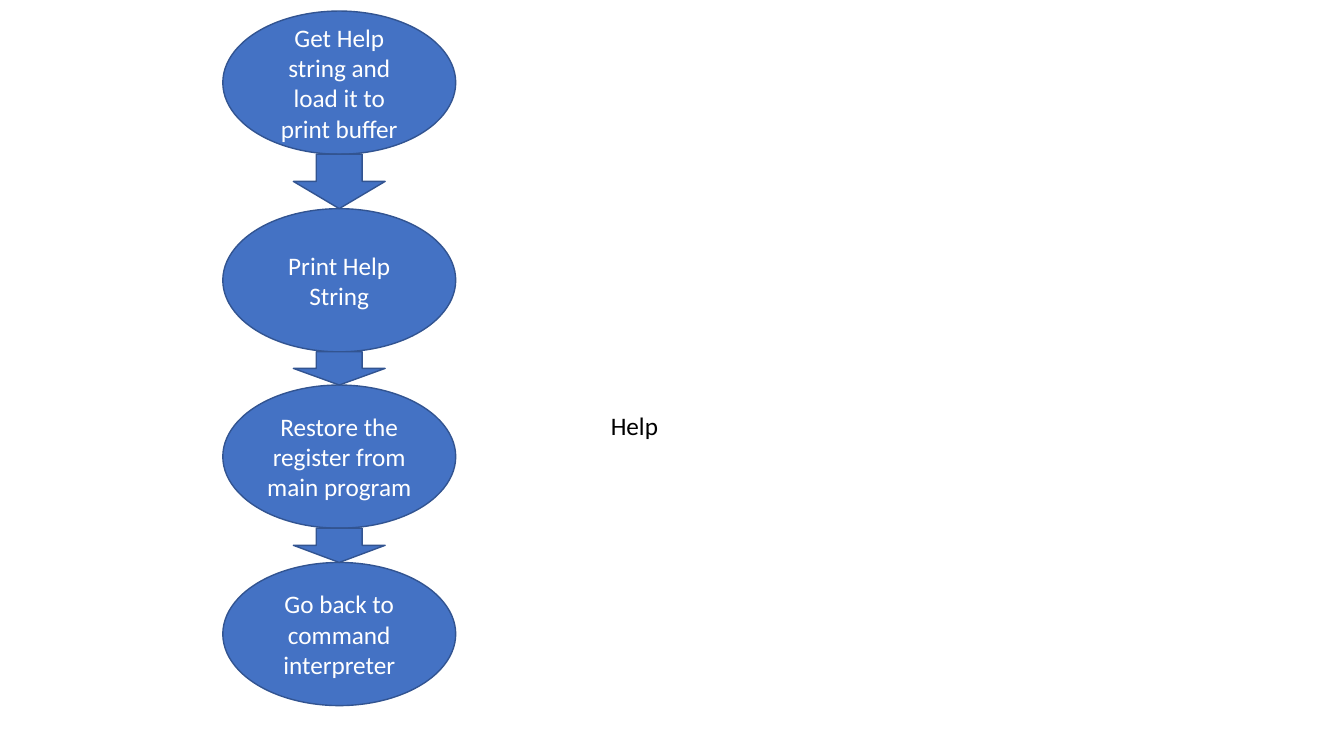
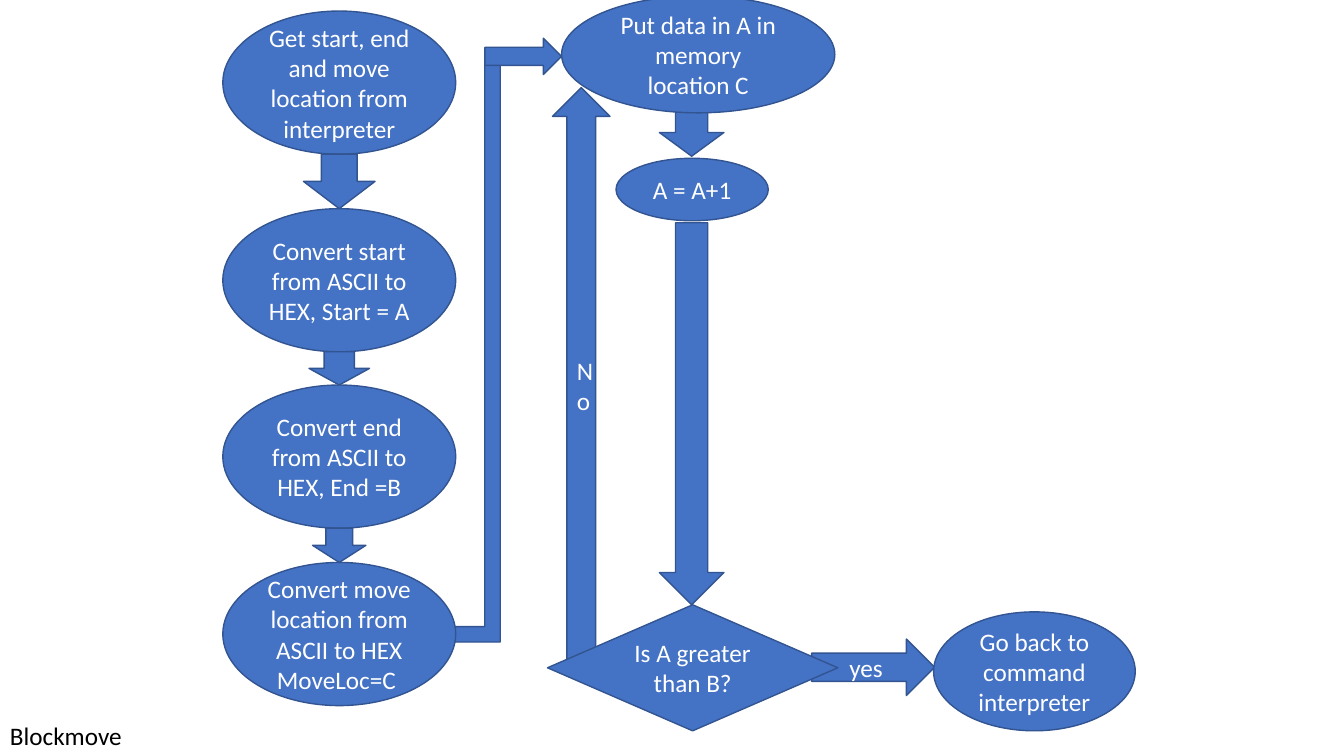
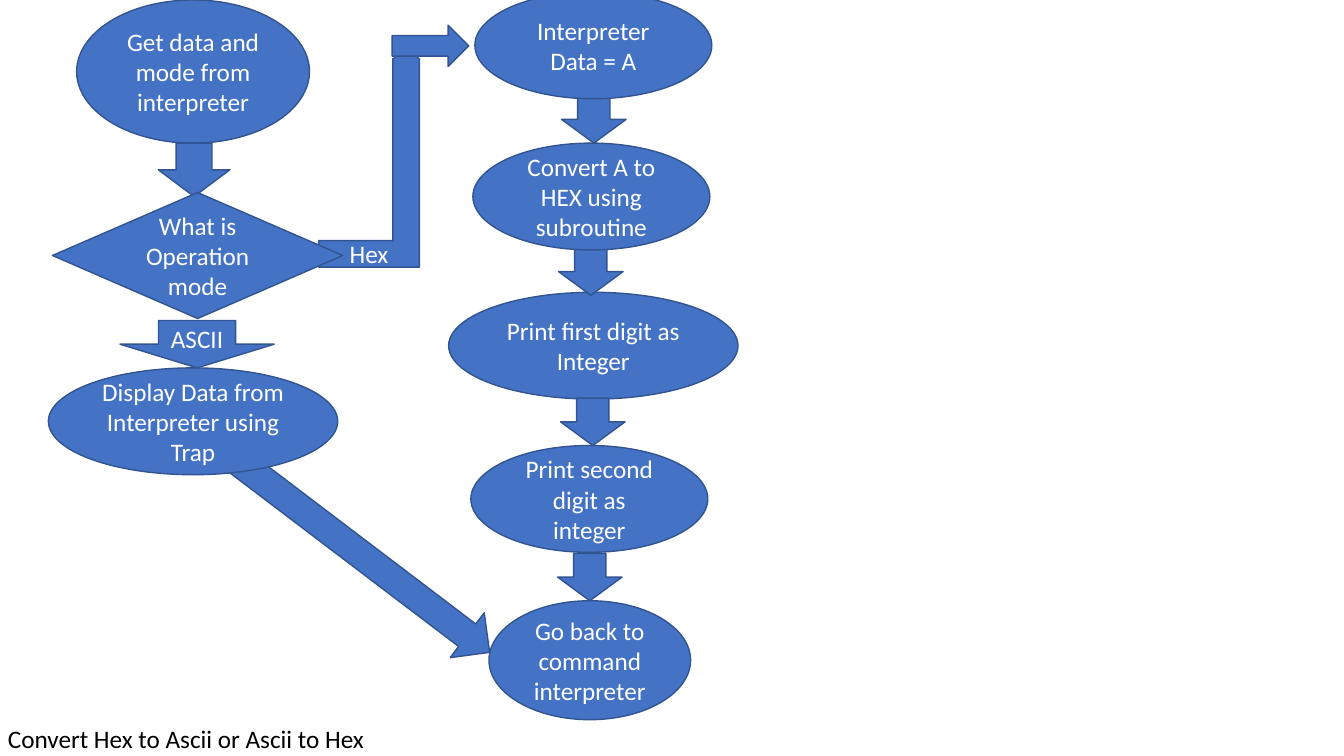
from pptx import Presentation
from pptx.dml.color import RGBColor
from pptx.enum import shapes, text
from pptx.util import Inches, Pt

KIND = shapes.MSO_SHAPE
OVAL, TEST = KIND.OVAL, KIND.FLOWCHART_DECISION
DOWN, UP, RIGHT, BENT = KIND.DOWN_ARROW, KIND.UP_ARROW, KIND.RIGHT_ARROW, KIND.BENT_UP_ARROW
BLUE, EDGE, WHITE, BLACK = "4472C4", "325491", "FFFFFF", "000000"
FONT, SIZE = "Calibri", 18
BACK = "Go back to command interpreter"


def color(code):
    return RGBColor.from_string(code)


def write(frame, words, tint, align):
    frame.word_wrap = True
    frame.text = words
    line = frame.paragraphs[0]
    line.alignment = align
    for run in line.runs:
        run.font.name = FONT
        run.font.size = Pt(SIZE)
        run.font.color.rgb = color(tint)


def node(slide, kind, box, words="", adjust=(), turn=0):
    shape = slide.shapes.add_shape(kind, *map(Inches, box))
    shape.shadow.inherit = False
    shape.fill.solid()
    shape.fill.fore_color.rgb = color(BLUE)
    shape.line.color.rgb = color(EDGE)
    shape.line.width = Pt(1)
    shape.rotation = turn
    for i, value in enumerate(adjust):
        shape.adjustments[i] = value
    if words:
        shape.text_frame.vertical_anchor = text.MSO_ANCHOR.MIDDLE
        write(shape.text_frame, words, WHITE, text.PP_ALIGN.CENTER)


def region(slide, left, top, parts):
    for kind, (x, y, w, h), *rest in parts:
        node(slide, kind, (left + x, top + y, w, h), *rest)


def caption(slide, box, words):
    label = slide.shapes.add_textbox(*map(Inches, box))
    write(label.text_frame, words, BLACK, text.PP_ALIGN.LEFT)


def column(slide, left, top, steps, heads):
    wide, high = 2.31, 1.42
    tops = [top + y for y in (0, 1.96, 3.71, 5.47)]
    for y, words in zip(tops, steps):
        node(slide, OVAL, (left, y, wide, high), words)
    for y, below, head in zip(tops, tops[1:], heads):
        x = left + (wide - head) / 2
        node(slide, DOWN, (x, y + high, head, below - y - high))


def loop(slide, left, top):
    region(slide, left, top, [
        (UP, (1.13, 0.87, 0.57, 5.77), "No"),
        (RIGHT, (3.7, 6.34, 1.22, 0.56), "yes"),
        (DOWN, (2.19, 2.21, 0.64, 3.79)),
        (DOWN, (2.19, 1.08, 0.64, 0.47)),
        (BENT, (0, 0.51, 0.61, 5.86), "", (0.25, 0.123, 0.213)),
        (OVAL, (1.22, -0.04, 2.71, 1.16), "Put data in A in memory location C"),
        (TEST, (1.08, 6, 2.88, 1.25), "Is A greater than B?"),
        (OVAL, (4.91, 6.07, 2, 1.18), BACK),
        (RIGHT, (0.46, 0.38, 0.76, 0.36)),
        (OVAL, (1.76, 1.57, 1.51, 0.62), "A = A+1"),
    ])


def choice(slide, left, top):
    region(slide, left, top, [
        (DOWN, (0.71, 3.18, 1.53, 0.47), "ASCII"),
        (BENT, (2.68, 0.37, 0.99, 2.28), "Hex", (0.265, 0.123, 0.213)),
        (OVAL, (0.28, 0, 2.31, 1.42), "Get data and mode from interpreter"),
        (DOWN, (1.09, 1.42, 0.71, 0.53)),
        (RIGHT, (3.41, 0.25, 0.76, 0.41)),
        (TEST, (0.04, 1.91, 2.88, 1.25), "What is Operation mode"),
        (RIGHT, (1.43, 5.2, 3.28, 0.56), "", (), 37.2),
        (OVAL, (0, 3.65, 2.87, 1.06), "Display Data from Interpreter using Trap"),
    ])


def digits(slide, left, top):
    region(slide, left, top, [
        (DOWN, (1.12, 0.95, 0.64, 0.47)),
        (OVAL, (0.26, -0.08, 2.35, 1.06), "Interpreter Data = A"),
        (OVAL, (0, 2.9, 2.87, 1.06), "Print first digit as Integer"),
        (OVAL, (0.4, 5.96, 2, 1.18), BACK),
        (DOWN, (1.09, 2.46, 0.64, 0.47)),
        (OVAL, (0.24, 1.42, 2.35, 1.06), "Convert A to HEX using subroutine"),
        (DOWN, (1.11, 3.95, 0.64, 0.47)),
        (OVAL, (0.22, 4.42, 2.35, 1.06), "Print second digit as integer"),
        (DOWN, (1.08, 5.49, 0.64, 0.47)),
    ])


deck = Presentation()
deck.slide_width, deck.slide_height = Inches(13.33), Inches(7.5)
guide, move, mode = [deck.slides.add_slide(deck.slide_layouts[6]) for _ in range(3)]

column(guide, 2.21, 0.11, [
    "Get Help string and load it to print buffer",
    "Print Help String",
    "Restore the register from main program",
    BACK,
], [0.91] * 3)
caption(guide, (5.96, 4.02, 2.23, 0.4), "Help")

loop(move, 4.35, 0)
column(move, 2.21, 0.11, [
    "Get start, end and move location from interpreter",
    "Convert start from ASCII to HEX, Start = A",
    "Convert end from ASCII to HEX, End =B",
    "Convert move location from ASCII to HEX MoveLoc=C ",
], [0.71, 0.6, 0.53])
caption(move, (0, 7.1, 1.8, 0.4), "Blockmove")

digits(mode, 4.45, 0)
choice(mode, 0.48, 0)
caption(mode, (-0.02, 7.13, 4.18, 0.4), "Convert Hex to Ascii or Ascii to Hex")

deck.save("out.pptx")
